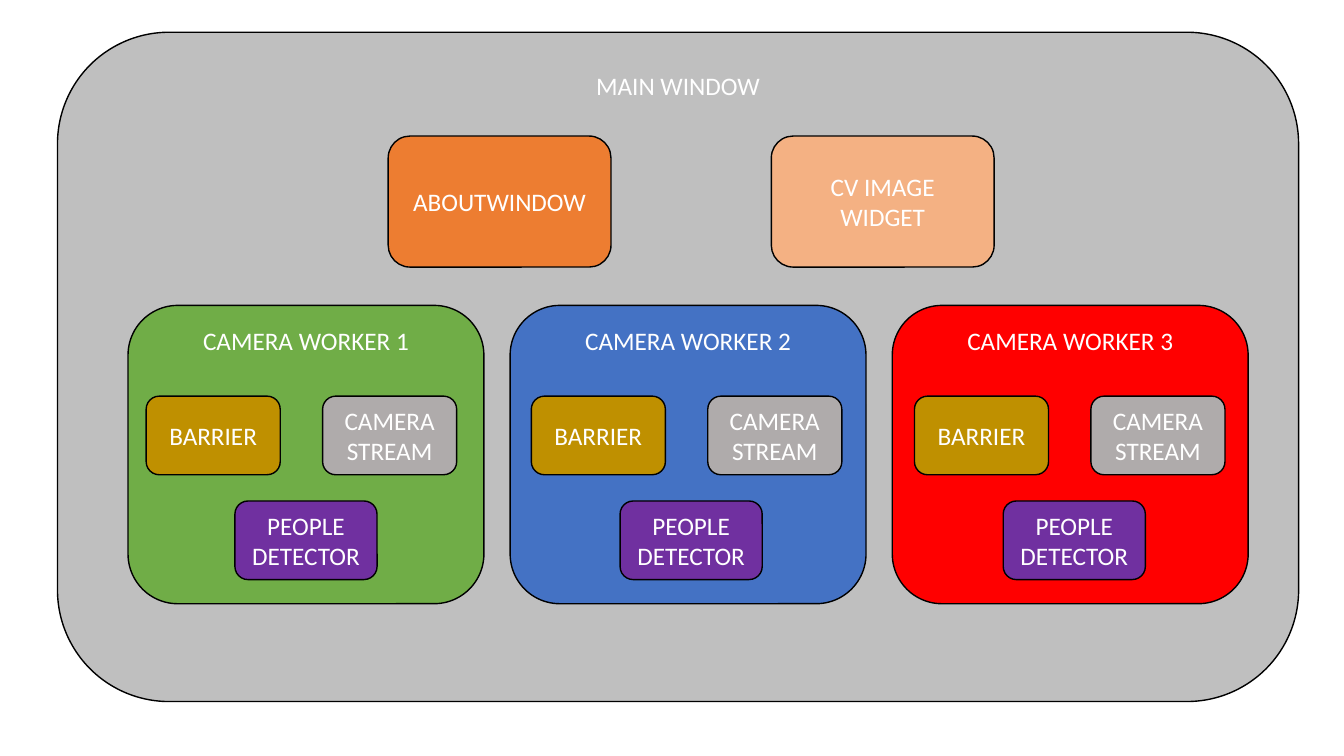
import pptx
import pptx.util
import pptx.dml.color
import pptx.enum.shapes
import pptx.enum.text

RGB = pptx.dml.color.RGBColor
ANCHOR = pptx.enum.text.MSO_ANCHOR

BLACK = RGB(0x00, 0x00, 0x00)
WHITE = RGB(0xFF, 0xFF, 0xFF)
SILVER = RGB(0xBF, 0xBF, 0xBF)
ORANGE = RGB(0xED, 0x7D, 0x31)
PEACH = RGB(0xF4, 0xB1, 0x83)
GREEN = RGB(0x70, 0xAD, 0x47)
BLUE = RGB(0x44, 0x72, 0xC4)
RED = RGB(0xFF, 0x00, 0x00)
GOLD = RGB(0xBF, 0x90, 0x00)
PURPLE = RGB(0x70, 0x30, 0xA0)
GREY = RGB(0xAF, 0xAB, 0xAB)

# The slide is a fine grid of square cells; boxes are (column, row, columns, rows).
CELL = pptx.util.Inches(0.01)
COLS, ROWS = 1333, 750
FONT = {"name": "Calibri", "size": pptx.util.Pt(18)}

# Label, fill and box of each part, relative to its holder.
WIDGETS = [
    ("ABOUTWINDOW", ORANGE, (328, 103, 221, 130)),
    ("CV IMAGE WIDGET", PEACH, (708, 103, 221, 130)),
]
# Fill of each worker and the indent of its parts.
WORKERS = [(GREEN, 18), (BLUE, 21), (RED, 22)]
PARTS = [
    ("BARRIER", GOLD, (0, 90, 133, 78)),
    ("PEOPLE DETECTOR", PURPLE, (88, 194, 141, 78)),
    ("CAMERA STREAM", GREY, (175, 90, 133, 78)),
]
PITCH = 379


def shift(box, left, top):
    """Move a relative box to the place of its holder."""
    col, row, width, height = box
    return left + col, top + row, width, height


def panel(slide, text, fill, box, anchor=ANCHOR.MIDDLE):
    """Draw one outlined round box with a centred label."""
    kind = pptx.enum.shapes.MSO_SHAPE.ROUNDED_RECTANGLE
    shape = slide.shapes.add_shape(kind, *(CELL * n for n in box))
    shape.shadow.inherit = False
    shape.fill.solid()
    shape.fill.fore_color.rgb = fill
    shape.line.color.rgb = BLACK
    shape.line.width = pptx.util.Pt(1)
    frame = shape.text_frame
    frame.vertical_anchor = anchor
    frame.text = text
    label = frame.paragraphs[0]
    label.alignment = pptx.enum.text.PP_ALIGN.CENTER
    font = label.runs[0].font
    for key, value in FONT.items():
        setattr(font, key, value)
    font.color.rgb = WHITE


def worker(slide, text, fill, box, indent):
    """Draw a camera worker and the three parts it holds."""
    panel(slide, text, fill, box, ANCHOR.TOP)
    left, top = box[:2]
    for name, tint, part in PARTS:
        panel(slide, name, tint, shift(part, left + indent, top))


def window(slide, box):
    """Draw the main window with its widgets and workers."""
    panel(slide, "MAIN WINDOW", SILVER, box, ANCHOR.TOP)
    left, top = box[:2]
    for name, tint, part in WIDGETS:
        panel(slide, name, tint, shift(part, left, top))
    for index, (fill, indent) in enumerate(WORKERS):
        place = shift((70 + index * PITCH, 271, 353, 296), left, top)
        worker(slide, f"CAMERA WORKER {index + 1}", fill, place, indent)


def main():
    """Build and save the slide."""
    deck = pptx.Presentation()
    deck.slide_width = CELL * COLS
    deck.slide_height = CELL * ROWS
    slide = deck.slides.add_slide(deck.slide_layouts[6])
    window(slide, (57, 32, 1231, 664))
    deck.save("out.pptx")


main()
